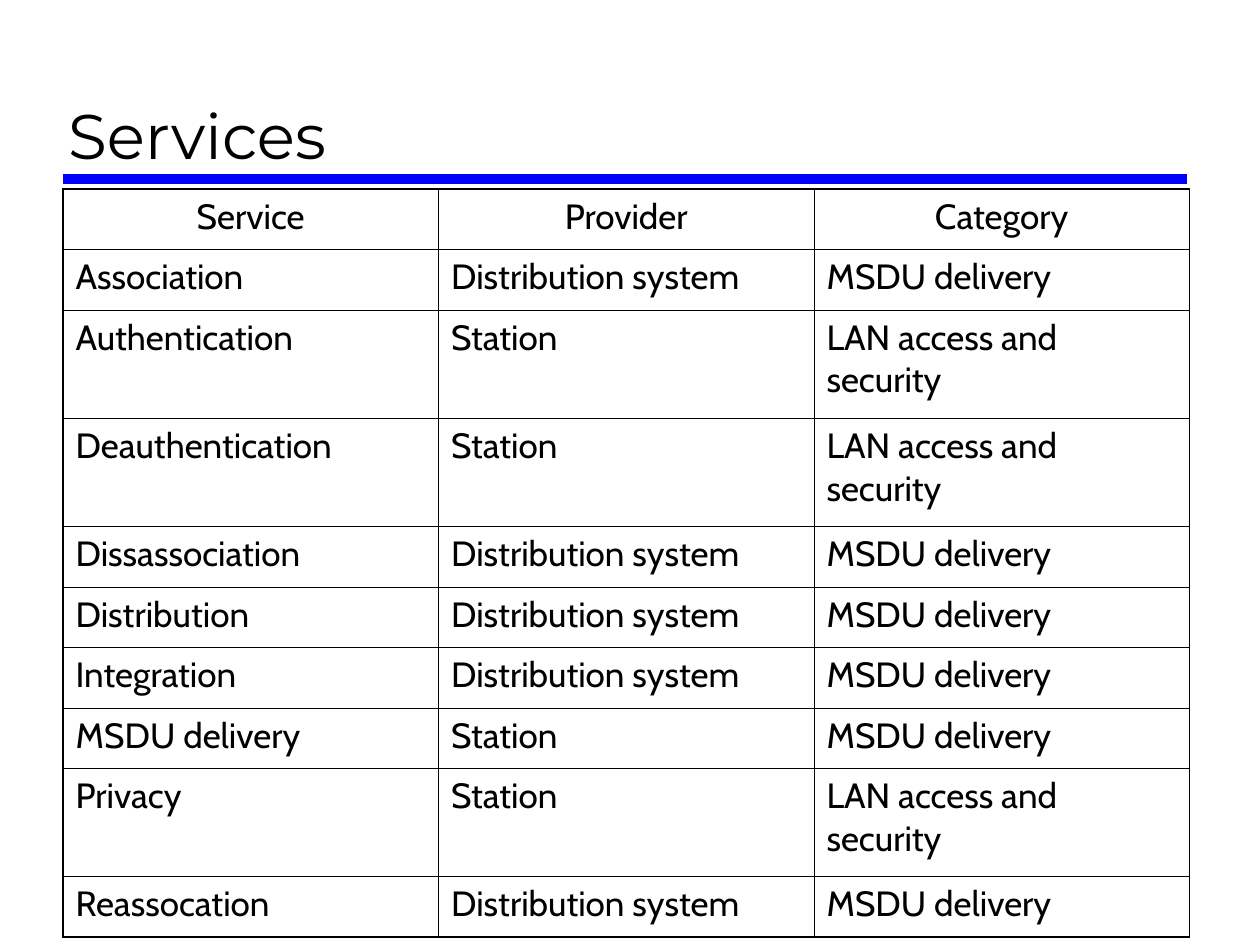
from dataclasses import dataclass

from lxml.etree import SubElement
from pptx import Presentation
from pptx.dml.color import RGBColor
from pptx.enum.shapes import MSO_CONNECTOR
from pptx.enum.text import MSO_ANCHOR, PP_ALIGN
from pptx.oxml import parse_xml
from pptx.oxml.ns import nsdecls, qn
from pptx.util import Inches, Pt

COLORS = {"text": "000000", "rule": "0000FF", "grid": "000000"}
THICK, THIN = 1.08, 0.45
COL_W, ROW_H, TALL_H = 2.98, 0.48, 0.86


@dataclass
class Service:
    name: str
    provider: str
    category: str


SYSTEM, STATION = "Distribution system", "Station"
MSDU, ACCESS = "MSDU delivery", "LAN access and security"

HEADER = Service("Service", "Provider", "Category")
SERVICES = [
    Service("Association", SYSTEM, MSDU),
    Service("Authentication", STATION, ACCESS),
    Service("Deauthentication", STATION, ACCESS),
    Service("Dissassociation", SYSTEM, MSDU),
    Service("Distribution", SYSTEM, MSDU),
    Service("Integration", SYSTEM, MSDU),
    Service("MSDU delivery", STATION, MSDU),
    Service("Privacy", STATION, ACCESS),
    Service("Reassocation", SYSTEM, MSDU),
]


def style(para, face: str, size: int) -> None:
    para.font.name = face
    para.font.size = Pt(size)
    para.font.color.rgb = RGBColor.from_string(COLORS["text"])


def add_title(slide, text: str) -> None:
    title = slide.shapes.title
    title.left, title.top = Inches(0.44), Inches(0.17)
    title.width, title.height = Inches(8.97), Inches(1.25)
    frame = title.text_frame
    frame.text = text
    frame.vertical_anchor = MSO_ANCHOR.BOTTOM
    para = frame.paragraphs[0]
    para.alignment = PP_ALIGN.LEFT
    style(para, "Montserrat", 36)


def add_rule(slide) -> None:
    y = Inches(1.42)
    rule = slide.shapes.add_connector(
        MSO_CONNECTOR.STRAIGHT, Inches(0.5), y, Inches(9.42), y)
    rule.line.color.rgb = RGBColor.from_string(COLORS["rule"])
    rule.line.width = Pt(6)
    SubElement(rule._element.spPr, qn("a:effectLst"))


def set_edges(cell, widths: dict[str, float]) -> None:
    props = cell._tc.get_or_add_tcPr()
    for spot, (side, width) in enumerate(widths.items()):
        props.insert(spot, parse_xml(
            f'<a:ln{side} {nsdecls("a")} w="{int(Pt(width))}"><a:solidFill>'
            f'<a:srgbClr val="{COLORS["grid"]}"/></a:solidFill></a:ln{side}>'))


def add_grid(slide, rows: list[Service]) -> None:
    heights = [TALL_H if row.category == ACCESS else ROW_H for row in rows]
    grid = slide.shapes.add_table(
        len(rows), 3, Inches(0.5), Inches(1.5),
        Inches(3 * COL_W), Inches(sum(heights))).table
    grid.first_row = grid.horz_banding = False
    for col in grid.columns:
        col.width = Inches(COL_W)
    last = len(rows) - 1
    for r, row in enumerate(rows):
        grid.rows[r].height = Inches(heights[r])
        for c, text in enumerate((row.name, row.provider, row.category)):
            cell = grid.cell(r, c)
            cell.text = text
            cell.fill.background()
            para = cell.text_frame.paragraphs[0]
            para.alignment = PP_ALIGN.CENTER if r == 0 else PP_ALIGN.LEFT
            para.space_before = Pt(5)
            style(para, "Cabin", 20)
            # Outer edges are thicker than inner ones
            set_edges(cell, {
                "L": THICK if c == 0 else THIN,
                "R": THICK if c == 2 else THIN,
                "T": THICK if r == 0 else THIN,
                "B": THICK if r == last else THIN,
            })


def main() -> None:
    deck = Presentation()
    deck.slide_width, deck.slide_height = Inches(10), Inches(7.5)
    slide = deck.slides.add_slide(deck.slide_layouts[5])
    # Heading and the rule below it
    add_rule(slide)
    add_title(slide, "Services")
    # Table of services
    add_grid(slide, [HEADER, *SERVICES])
    deck.save("out.pptx")


if __name__ == "__main__":
    main()
